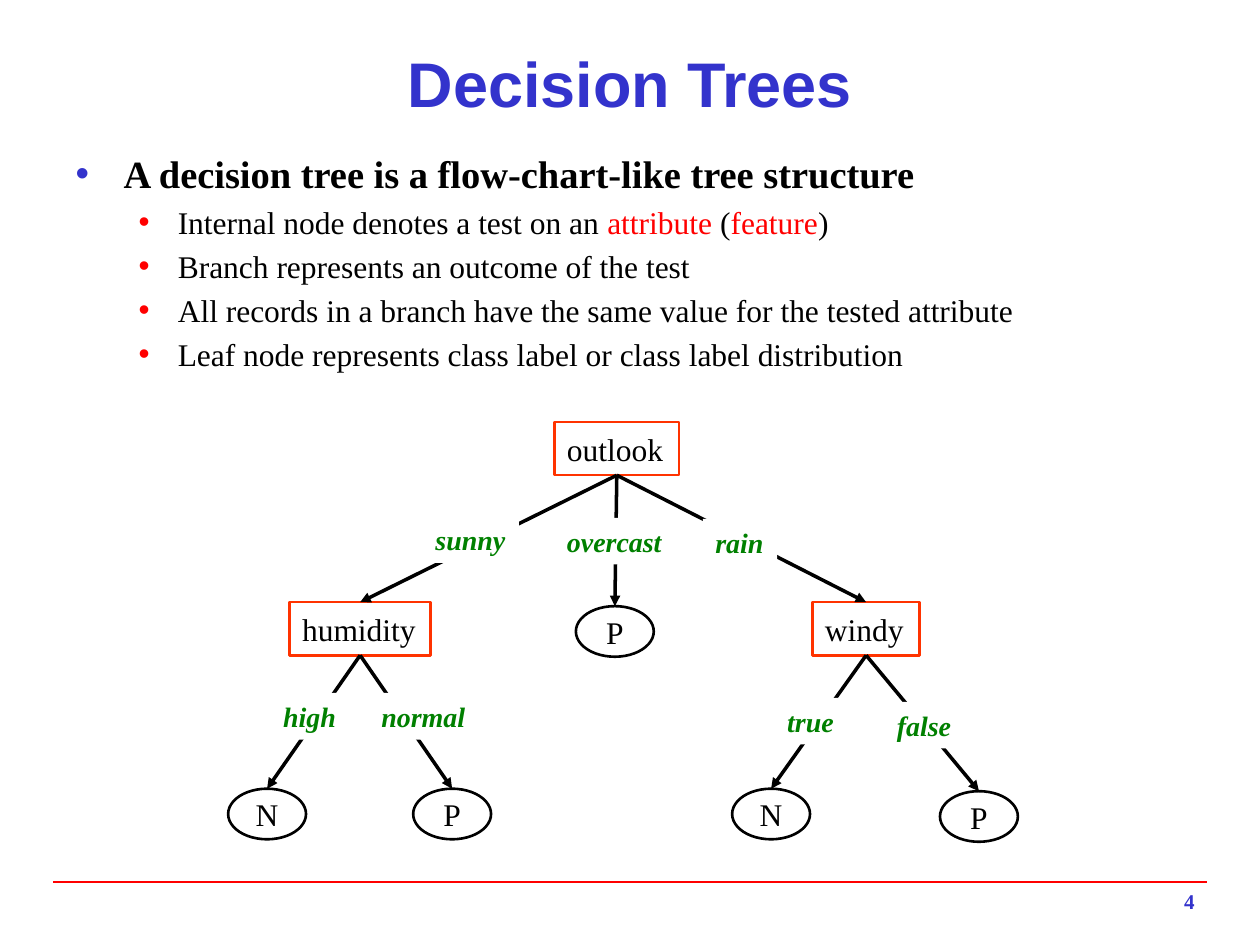
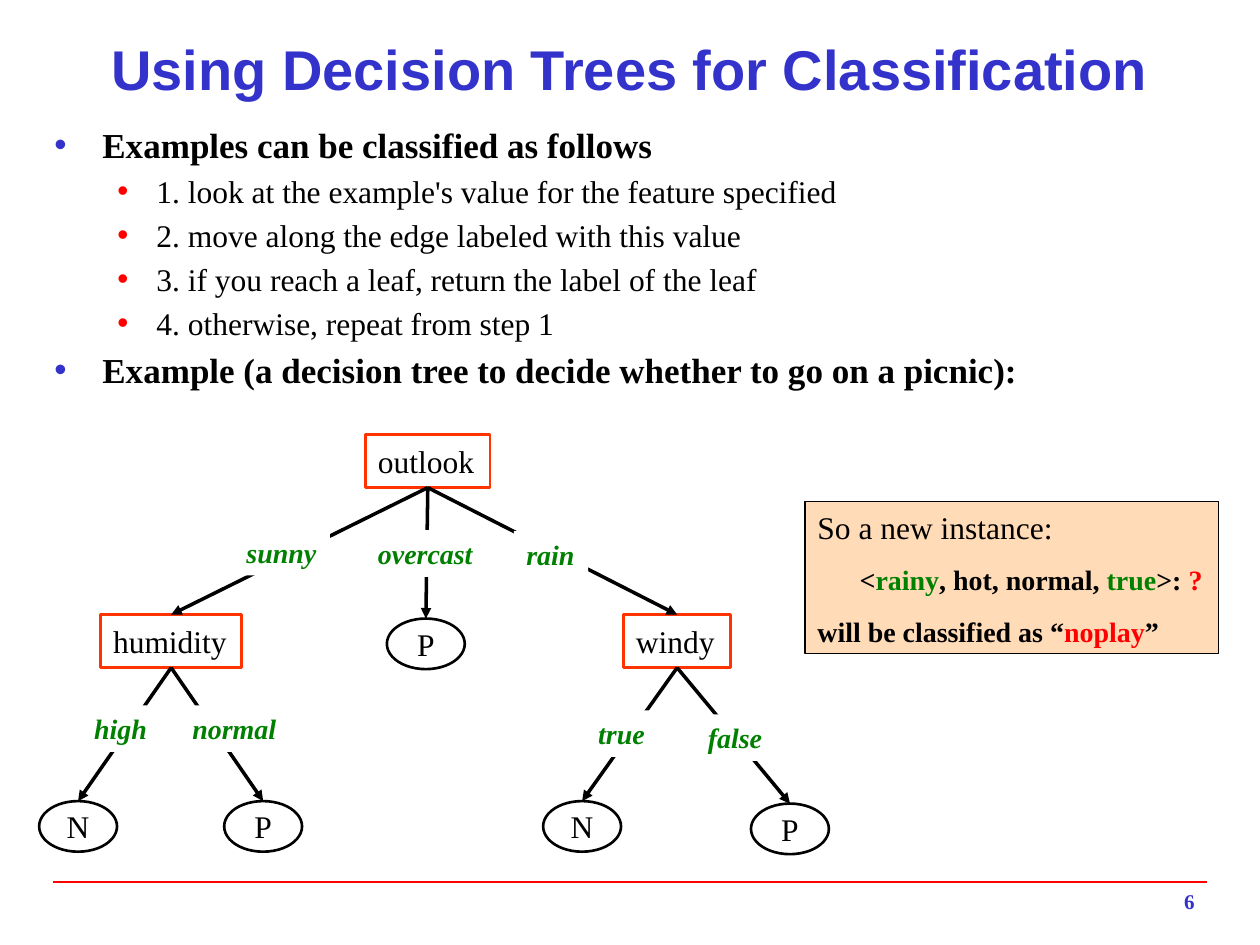
from lxml import etree
from pptx import Presentation
from pptx import util as u
from pptx.dml.color import RGBColor
from pptx.enum import shapes, text
from pptx.oxml import ns

C = {"blue": "3333CC", "red": "FF0000", "orange": "FF3300", "green": "008000",
     "black": "000000", "white": "FFFFFF", "peach": "FFDBB7"}
SERIF = "Times New Roman"
LEFT, CENTER, RIGHT = text.PP_ALIGN.LEFT, text.PP_ALIGN.CENTER, text.PP_ALIGN.RIGHT


def write(p, words, size=18, color="black", font=SERIF, bold=False, italic=False, align=LEFT):
    p.alignment = align
    r = p.add_run()
    r.text = words
    r.font.size = u.Pt(size)
    r.font.name = font
    r.font.bold = bold
    r.font.italic = italic
    r.font.color.rgb = RGBColor.from_string(C[color])


def box(parent, kind, x, y, w, h, fill=None, line=None, width=1.5):
    sp = parent.add_shape(kind, u.Cm(x), u.Cm(y), u.Cm(w), u.Cm(h))
    sp.shadow.inherit = False
    if fill:
        sp.fill.solid()
        sp.fill.fore_color.rgb = RGBColor.from_string(C[fill])
    else:
        sp.fill.background()
    if line:
        sp.line.color.rgb = RGBColor.from_string(C[line])
        sp.line.width = u.Pt(width)
    else:
        sp.line.fill.background()
    sp.text_frame.word_wrap = False
    sp.text_frame.vertical_anchor = text.MSO_ANCHOR.MIDDLE
    return sp


RECT, OVAL = shapes.MSO_SHAPE.RECTANGLE, shapes.MSO_SHAPE.OVAL
STRAIGHT = shapes.MSO_CONNECTOR.STRAIGHT

tests = {"outlook": (11.18, 8.51, 2.51), "humidity": (5.84, 12.14, 2.84),
         "windy": (16.38, 12.14, 2.16)}
leaves = {"overcast": ("P", 11.61, 12.22), "high": ("N", 4.6, 15.9),
          "normal": ("P", 8.33, 15.9), "true": ("N", 14.76, 15.9),
          "false": ("P", 18.95, 15.95)}
branches = [("outlook", "sunny", "humidity", 8.53, 10.41, 1.93),
            ("outlook", "overcast", "overcast", 11.18, 10.44, 2.44),
            ("outlook", "rain", "windy", 14.17, 10.46, 1.5),
            ("humidity", "high", "high", 5.46, 13.97, 1.57),
            ("humidity", "normal", "normal", 7.44, 13.97, 2.21),
            ("windy", "true", "true", 15.62, 14.07, 1.45),
            ("windy", "false", "false", 17.83, 14.15, 1.63)]

pages = [
    dict(title="Decision Trees", number="4", title_top=0.81, title_size=36,
         body=(1.27, 2.9, 22.86, 14.05), head_size=22, shift=(0, 0),
         items=[(0, [("A decision tree is a flow-chart-like tree structure", "black")]),
                (1, [("Internal node denotes a test on an ", "black"), ("attribute", "red"),
                     (" (", "black"), ("feature", "red"), (")", "black")]),
                (1, [("Branch represents an outcome of the test", "black")]),
                (1, [("All records in a branch have the same value for the tested attribute",
                      "black")]),
                (1, [("Leaf node represents class label or class label distribution",
                      "black")])]),
    dict(title="Using Decision Trees for Classification", number="6", title_top=0.53,
         title_size=32, body=(0.84, 2.36, 23.7, 14.58), head_size=20, shift=(-3.81, 0.25),
         items=[(0, [("Examples can be classified as follows", "black")]),
                (1, [("1. look at the example's value for the feature specified", "black")]),
                (1, [("2. move along the edge labeled with this value", "black")]),
                (1, [("3. if you reach a leaf, return the label of the leaf", "black")]),
                (1, [("4. otherwise, repeat from step 1", "black")]),
                (0, [("Example (a decision tree to decide whether to go on a picnic):",
                      "black")])]),
]
bullets = [(0.97, 0.97, "blue"), (2.06, 0.79, "red")]

prs = Presentation()
prs.slide_width, prs.slide_height = u.Cm(25.4), u.Cm(19.05)
layout = prs.slide_layouts[1]

for page in pages:
    s = prs.slides.add_slide(layout)

    if page is pages[0]:
        rule = s.shapes.add_connector(STRAIGHT, u.Cm(1.07), u.Cm(17.78), u.Cm(24.33), u.Cm(17.78))
        rule.line.color.rgb = RGBColor.from_string(C["red"])
        rule.line.width = u.Pt(1)
        etree.SubElement(rule._element.spPr, ns.qn("a:effectLst"))
        layout.shapes._spTree.append(rule._element)

    number = s.shapes.add_textbox(u.Cm(19.05), u.Cm(17.78), u.Cm(5.28), u.Cm(0.84))
    number.text_frame.word_wrap = True
    write(number.text_frame.paragraphs[0], page["number"], size=12, color="blue", bold=True,
          align=RIGHT)

    title = s.shapes.title
    title.left, title.top = u.Cm(1.27), u.Cm(page["title_top"])
    title.width, title.height = u.Cm(22.86), u.Cm(1.7)
    title.text_frame.auto_size = text.MSO_AUTO_SIZE.NONE
    title.text_frame.vertical_anchor = text.MSO_ANCHOR.MIDDLE
    write(title.text_frame.paragraphs[0], page["title"], size=page["title_size"], color="blue",
          font="Arial", bold=True, align=CENTER)

    body = s.placeholders[1]
    body.left, body.top, body.width, body.height = [u.Cm(v) for v in page["body"]]
    tf = body.text_frame
    tf.auto_size = text.MSO_AUTO_SIZE.NONE
    for i, (level, runs) in enumerate(page["items"]):
        p = tf.add_paragraph() if i else tf.paragraphs[0]
        p.level = level
        for words, color in runs:
            write(p, words, color=color, size=18 if level else page["head_size"],
                  bold=level == 0)
        margin, hang, color = bullets[level]
        pPr = p._p.get_or_add_pPr()
        pPr.set("marL", str(u.Cm(margin)))
        pPr.set("indent", str(-u.Cm(hang)))
        buClr = etree.SubElement(pPr, ns.qn("a:buClr"))
        etree.SubElement(buClr, ns.qn("a:srgbClr"), val=C[color])
        etree.SubElement(pPr, ns.qn("a:buChar"), char="•")

    tree = s.shapes.add_group_shape()
    nodes = {}
    for name, (x, y, w) in tests.items():
        sp = nodes[name] = box(tree.shapes, RECT, x, y, w, 1.07, line="orange")
        write(sp.text_frame.paragraphs[0], name)
    for name, (label, x, y) in leaves.items():
        sp = nodes[name] = box(tree.shapes, OVAL, x, y, 1.57, 1.02, line="black")
        tf = sp.text_frame
        tf.margin_left = tf.margin_right = tf.margin_top = tf.margin_bottom = 0
        write(tf.paragraphs[0], label, align=CENTER)
    for start, _, end, *_ in branches:
        arrow = tree.shapes.add_connector(STRAIGHT, 0, 0, 0, 0)
        arrow.begin_connect(nodes[start], 2)
        arrow.end_connect(nodes[end], 0)
        arrow.line.color.rgb = RGBColor.from_string(C["black"])
        arrow.line.width = u.Pt(2)
        etree.SubElement(arrow.line._get_or_add_ln(), ns.qn("a:tailEnd"), type="triangle")
        etree.SubElement(arrow._element.spPr, ns.qn("a:effectLst"))
    for _, label, _, x, y, w in branches:
        sp = box(tree.shapes, RECT, x, y, w, 0.94, fill="white")
        write(sp.text_frame.paragraphs[0], label, size=16, color="green", bold=True, italic=True)
    dx, dy = page["shift"]
    tree.left += u.Cm(dx)
    tree.top += u.Cm(dy)

callout = box(s.shapes, RECT, 16.23, 10.11, 8.33, 3.07, fill="peach", line="black", width=0.75)
tf = callout.text_frame
write(tf.paragraphs[0], "So a new instance:")
answer = [(0.85, [("<", "black"), ("rainy", "green"), (", hot, normal, ", "black"),
                  ("true", "green"), (">: ", "black"), ("?", "red")]),
          (0, [("will be classified as “", "black"), ("noplay", "red"), ("”", "black")])]
for margin, runs in answer:
    p = tf.add_paragraph()
    p.space_before = u.Pt(10)
    p._p.get_or_add_pPr().set("marL", str(u.Cm(margin)))
    for words, color in runs:
        write(p, words, size=16, color=color, bold=True)

prs.save("out.pptx")
